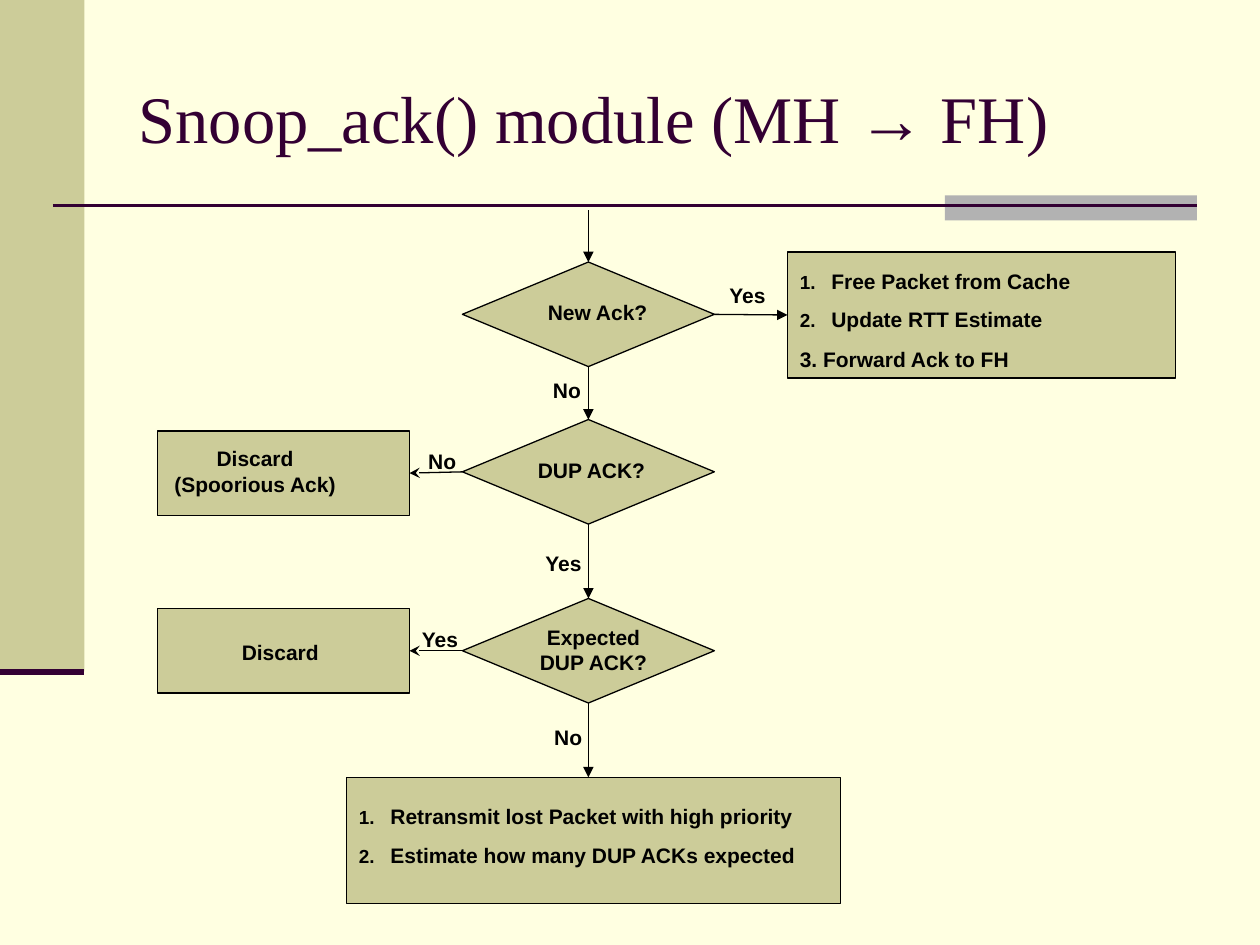
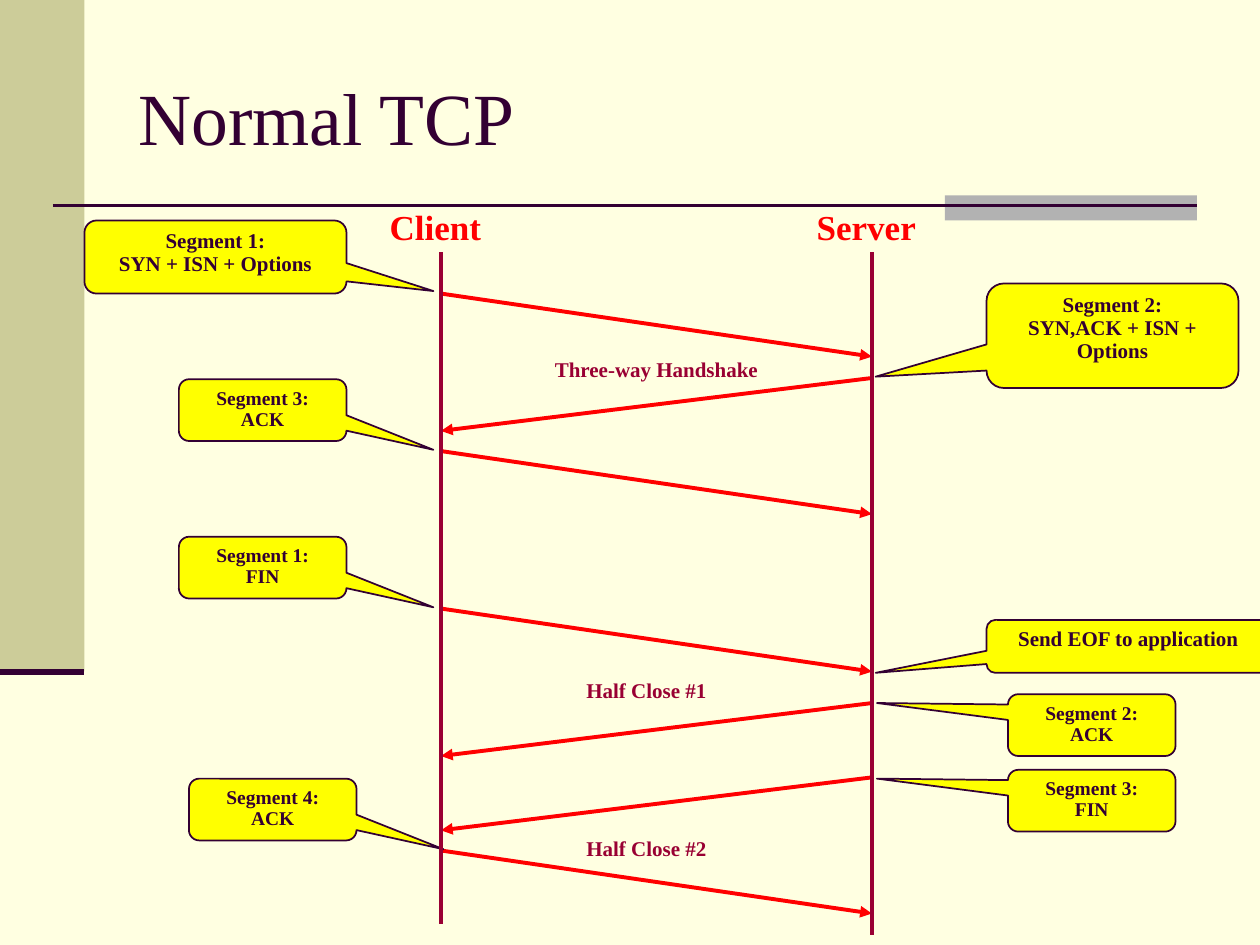
from dataclasses import dataclass
from typing import Any, NamedTuple, Optional

from lxml import etree
from pptx import Presentation
from pptx import util as u
from pptx.dml.color import RGBColor
from pptx.enum import shapes as sh, text as tx
from pptx.oxml import ns


@dataclass(frozen=True)
class Theme:
    page: str = "FFFFE1"
    sand: str = "CCCC99"
    gray: str = "B2B2B2"
    plum: str = "330033"
    ink: str = "000000"
    red: str = "FF0000"
    wine: str = "990033"
    yellow: str = "FFFF00"
    sans: str = "Arial"
    serif: str = "Times New Roman"
    body: float = 12
    small: float = 11.1
    head: float = 20
    title: float = 42
    long: float = 38
    thin: float = 0.75
    edge: float = 1
    rule: float = 1.5
    bold: float = 2.25
    thick: float = 3.5


T = Theme()
CENTER = tx.PP_ALIGN.CENTER


class Box(NamedTuple):
    x: float
    y: float
    w: float
    h: float


class Run(NamedTuple):
    text: str
    font: str


class Label(NamedTuple):
    text: str
    box: Box


class Note(NamedTuple):
    lines: list
    box: Box
    tip: tuple
    size: float = T.body


def span(box: Box) -> list:
    return [u.Inches(v) for v in box]


def tint(name: str) -> RGBColor:
    return RGBColor.from_string(name)


def child(node: Any, tag: str, **attrs: str) -> Any:
    return etree.SubElement(node, ns.qn(tag), **attrs)


def number(para: Any, color: str) -> None:
    props = para._p.get_or_add_pPr()
    props.set("marL", str(u.Inches(0.25)))
    props.set("indent", str(u.Inches(-0.25)))
    child(child(props, "a:buClr"), "a:srgbClr", val=color)
    child(props, "a:buSzPct", val="90000")
    child(props, "a:buAutoNum", type="arabicPeriod")


def write(frame: Any, lines: list, *, size: float = T.body, font: str = T.sans,
          color: str = T.ink, bold: bool = True, align: Any = tx.PP_ALIGN.LEFT,
          anchor: Any = tx.MSO_ANCHOR.TOP, gap: float = 0, pitch: Optional[float] = None,
          count: bool = False) -> None:
    frame.word_wrap = True
    frame.auto_size = tx.MSO_AUTO_SIZE.NONE
    frame.vertical_anchor = anchor
    for i, line in enumerate(lines):
        para = frame.add_paragraph() if i else frame.paragraphs[0]
        if count:
            number(para, color)
        para.alignment = align
        para.space_before = u.Pt(gap if i else 0)
        if pitch:
            para.line_spacing = pitch
        for part in [Run(line, font)] if isinstance(line, str) else line:
            run = para.add_run()
            run.text = part.text
            run.font.name = part.font
            run.font.size = u.Pt(size)
            run.font.bold = bold
            run.font.color.rgb = tint(color)


def label(slide: Any, box: Box, lines: list, **form: Any) -> Any:
    area = slide.shapes.add_textbox(*span(box))
    write(area.text_frame, lines, **form)
    return area


def block(slide: Any, kind: Any, box: Box, fill: str, line: Optional[str] = None,
          width: float = T.thin) -> Any:
    shape = slide.shapes.add_shape(kind, *span(box))
    shape.shadow.inherit = False
    shape.fill.solid()
    shape.fill.fore_color.rgb = tint(fill)
    if line:
        shape.line.color.rgb = tint(line)
        shape.line.width = u.Pt(width)
    else:
        shape.line.fill.background()
    return shape


def link(slide: Any, start: tuple, end: tuple, color: str, width: float,
         tip: Optional[str] = None) -> Any:
    line = slide.shapes.add_connector(sh.MSO_CONNECTOR.STRAIGHT,
                                      *[u.Inches(v) for v in (*start, *end)])
    line.line.color.rgb = tint(color)
    line.line.width = u.Pt(width)
    if tip:
        child(line.line._get_or_add_ln(), "a:tailEnd", type=tip)
    child(line.element.spPr, "a:effectLst")
    return line


def dress(layout: Any, slide: Any) -> None:
    layout.background.fill.solid()
    layout.background.fill.fore_color.rgb = tint(T.page)
    for hold in list(layout.placeholders):
        if hold.placeholder_format.type == sh.PP_PLACEHOLDER.TITLE:
            hold.left, hold.top, hold.width, hold.height = span(Box(1, 0.3, 8.5, 1.25))
        else:
            layout.shapes.element.remove(hold.element)
    rect = sh.MSO_SHAPE.RECTANGLE
    parts = [
        block(slide, rect, Box(0, 0, 0.67, 5.33), T.sand),
        block(slide, rect, Box(7.5, 1.55, 2, 0.2), T.gray),
        link(slide, (0.42, 1.63), (9.5, 1.63), T.plum, T.rule),
        link(slide, (0, 5.33), (0.67, 5.33), T.plum, T.thick),
    ]
    for i, part in enumerate(parts):
        layout.shapes.element.insert(2 + i, part.element)


def head(slide: Any, line: Any, size: float) -> None:
    write(slide.shapes.title.text_frame, [line], size=size, font=T.serif, color=T.plum,
          bold=False, anchor=tx.MSO_ANCHOR.MIDDLE)


def flow(slide: Any) -> None:
    head(slide, [Run("Snoop_ack() module (MH ", T.serif), Run("→", T.sans),
                 Run(" FH)", T.serif)], T.long)
    mid = 4.67
    fresh, dup, known = [
        block(slide, sh.MSO_SHAPE.FLOWCHART_DECISION, Box(mid - 1, y, 2, 0.83), T.sand, T.ink)
        for y in (2.08, 3.33, 4.75)]
    free, stray, drop, resend = [
        block(slide, sh.MSO_SHAPE.RECTANGLE, box, T.sand, T.ink)
        for box in (Box(6.25, 2, 3.08, 1), Box(1.25, 3.42, 2, 0.67),
                    Box(1.25, 4.83, 2, 0.67), Box(2.75, 6.17, 3.92, 1))]

    enter = link(slide, (mid, 1.67), (mid, 2.08), T.ink, T.thin, "triangle")
    enter.end_connect(fresh, 0)
    leave = link(slide, (mid, 5.58), (mid, 6.17), T.ink, T.thin, "triangle")
    leave.begin_connect(known, 2)
    for start, out, end, into, tip in (
            (fresh, 3, free, 1, "triangle"), (fresh, 2, dup, 0, "triangle"),
            (dup, 1, stray, 3, "stealth"), (dup, 2, known, 0, "triangle"),
            (known, 1, drop, 3, "stealth")):
        line = link(slide, (0, 0), (1, 1), T.ink, T.thin, tip)
        line.begin_connect(start, out)
        line.end_connect(end, into)

    for item in (
            Label("New Ack?", Box(4.25, 2.33, 1, 0.3)),
            Label("DUP ACK?", Box(4.17, 3.58, 1.08, 0.3)),
            Label("3. Forward Ack to FH", Box(6.25, 2.7, 2.17, 0.3)),
            Label("Yes", Box(5.69, 2.19, 0.58, 0.3)),
            Label("No", Box(4.29, 2.95, 0.58, 0.3)),
            Label("No", Box(3.3, 3.51, 0.58, 0.3)),
            Label("Yes", Box(4.23, 4.32, 0.58, 0.3)),
            Label("Yes", Box(3.25, 4.92, 0.58, 0.3)),
            Label("No", Box(4.3, 5.7, 0.58, 0.3))):
        label(slide, item.box, [item.text])

    label(slide, Box(4.17, 4.91, 1.08, 0.5), ["Expected DUP ACK?"], align=CENTER)
    label(slide, Box(1.31, 5.03, 1.83, 0.3), ["Discard"], align=CENTER)
    spur = label(slide, Box(1.25, 3.49, 1.83, 0.5), ["Discard", "(Spoorious Ack)"],
                 align=CENTER)
    spur.text_frame.paragraphs[0]._p.get_or_add_pPr().set("marR", str(u.Inches(0.28)))
    label(slide, Box(6.25, 2.08, 3.17, 0.61),
          ["Free Packet from Cache", "Update RTT Estimate"], gap=7.5, count=True)
    label(slide, Box(2.75, 6.33, 3.92, 0.61),
          ["Retransmit lost Packet with high priority",
           "Estimate how many DUP ACKs expected"], gap=7.5, count=True)


def callout(slide: Any, note: Note) -> None:
    box = note.box
    shape = block(slide, sh.MSO_SHAPE.ROUNDED_RECTANGULAR_CALLOUT, box,
                  T.yellow, T.plum, T.edge)
    shape.adjustments[0] = (note.tip[0] - box.x) / box.w - 0.5
    shape.adjustments[1] = (note.tip[1] - box.y) / box.h - 0.5
    write(shape.text_frame, note.lines, size=note.size, font=T.serif, color=T.plum,
          align=CENTER, pitch=0.9)


def chat(slide: Any) -> None:
    head(slide, "Normal TCP", T.title)
    left, right = 3.5, 6.92
    for y, ahead in ((2.33, True), (3, False), (3.58, True), (4.83, True),
                     (5.58, False), (6.17, False), (6.75, True)):
        start, end, fall = (left, right, 0.5) if ahead else (right, left, 0.42)
        link(slide, (start, y), (end, y + fall), T.red, T.bold, "triangle")

    def short(name: str, flag: str, x: float, y: float, tip: tuple) -> Note:
        return Note([name, flag], Box(x, y, 1.33, 0.49), tip, T.small)

    for note in (
            Note(["Segment 1:", "SYN + ISN + Options"], Box(0.67, 1.75, 2.08, 0.58),
                 (3.44, 2.31)),
            Note(["Segment 2:", "SYN,ACK + ISN + Options"], Box(7.83, 2.25, 2, 0.83),
                 (6.95, 2.99)),
            short("Segment 3:", "ACK", 1.42, 3.01, (3.44, 3.57)),
            short("Segment 1:", "FIN", 1.42, 4.26, (3.44, 4.82)),
            Note(["Send EOF to application"], Box(7.83, 4.92, 2.25, 0.42), (6.95, 5.34)),
            short("Segment 2:", "ACK", 8, 5.51, (6.96, 5.58)),
            short("Segment 3:", "FIN", 8, 6.11, (6.96, 6.18)),
            short("Segment 4:", "ACK", 1.5, 6.18, (3.52, 6.74))):
        callout(slide, note)

    for text, x, y in (("Three-way Handshake", 4, 2.78), ("Half Close #1", 3.92, 5.33),
                       ("Half Close #2", 3.92, 6.58)):
        label(slide, Box(x, y, 2.42, 0.3), [text], font=T.serif, color=T.wine, align=CENTER)

    for name, x, end, edge in (("Client", left, 7.33, 2.83), ("Server", right, 7.42, 6.25)):
        link(slide, (x, 2), (x, end), T.wine, T.bold)
        label(slide, Box(edge, 1.58, 1.25, 0.44), [name], size=T.head, font=T.serif,
              color=T.red, align=CENTER)


def main() -> None:
    deck = Presentation()
    deck.slide_width, deck.slide_height = u.Inches(10), u.Inches(7.5)
    layout = deck.slide_layouts[5]
    first, second = [deck.slides.add_slide(layout) for _ in range(2)]
    dress(layout, first)
    flow(first)
    chat(second)
    deck.save("out.pptx")


if __name__ == "__main__":
    main()
